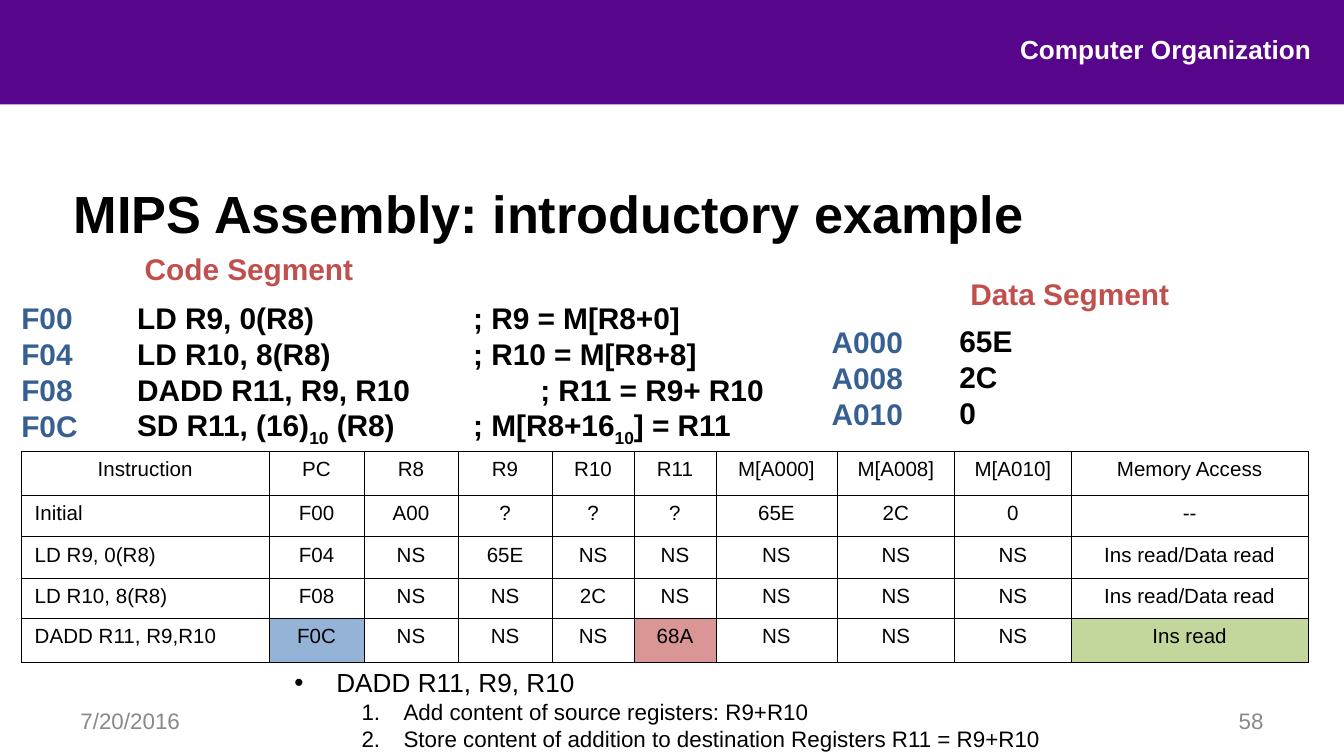
from dataclasses import dataclass

from lxml.etree import SubElement
from pptx import Presentation
from pptx.dml.color import RGBColor
from pptx.enum.shapes import MSO_SHAPE
from pptx.enum.text import MSO_ANCHOR, MSO_AUTO_SIZE, PP_ALIGN
from pptx.oxml import parse_xml
from pptx.oxml.ns import nsdecls, qn
from pptx.util import Pt


@dataclass(frozen=True)
class Theme:
    font: str = "Arial"
    ink: str = "000000"
    paper: str = "FFFFFF"
    band: str = "57068C"
    head: str = "C0504D"
    mark: str = "376092"
    faint: str = "898989"
    blue: str = "95B3D7"
    red: str = "D99694"
    green: str = "C3D69B"
    title: int = 28
    code: int = 16
    lead: int = 14
    note: int = 12
    cell: int = 11


THEME = Theme()
LEFT, MID, RIGHT = PP_ALIGN.LEFT, PP_ALIGN.CENTER, PP_ALIGN.RIGHT

CODE = [
    "LD R9, 0(R8)\t\t\t; R9 = M[R8+0]",
    "LD R10, 8(R8)\t\t\t; R10 = M[R8+8]",
    "DADD R11, R9, R10\t\t; R11 = R9+ R10",
    "SD R11, (16)|10| (R8) \t\t; M[R8+16|10|] = R11",
]
STEPS = [
    "Add content of source registers: R9+R10",
    "Store content of addition to destination Registers R11 = R9+R10",
]
ROWS = [
    ["Instruction", "PC", "R8", "R9", "R10", "R11",
     "M[A000]", "M[A008]", "M[A010]", "Memory Access"],
    ["Initial", "F00", "A00", "?", "?", "?", "65E", "2C", "0", "--"],
    ["LD R9, 0(R8)", "F04", "NS", "65E", "NS", "NS", "NS", "NS", "NS",
     "Ins read/Data read"],
    ["LD R10, 8(R8)", "F08", "NS", "NS", "2C", "NS", "NS", "NS", "NS",
     "Ins read/Data read"],
    ["DADD R11, R9,R10", "F0C", "NS", "NS", "NS", "68A", "NS", "NS", "NS",
     "Ins read"],
]
WIDTHS = [132.8, 50.8, 50.4, 50.4, 43.9, 43.9, 64.8, 63.2, 62.3, 127]
HEIGHTS = [23.7, 22, 22.4, 21.4, 23.7]
FILLS = {(4, 1): THEME.blue, (4, 5): THEME.red, (4, 9): THEME.green}


def add_runs(para, line, size, color, bold=False):
    for index, piece in enumerate(line.split("|")):
        run = para.add_run()
        run.text = piece
        font = run.font
        font.name, font.size, font.bold = THEME.font, Pt(size), bold
        font.color.rgb = RGBColor.from_string(color)
        if index % 2:
            run._r.get_or_add_rPr().set("baseline", "-25000")


def write(frame, lines, size, color, bold=False, align=LEFT):
    for index, line in enumerate(lines):
        para = frame.add_paragraph() if index else frame.paragraphs[0]
        para.alignment = align
        para.space_before = Pt(0)
        add_runs(para, line, size, color, bold)


def place(shape, box):
    shape.left, shape.top, shape.width, shape.height = map(Pt, box)


def set_frame(frame, inset=True, anchor=MSO_ANCHOR.TOP):
    frame.word_wrap = True
    frame.auto_size = MSO_AUTO_SIZE.NONE
    frame.vertical_anchor = anchor
    frame.margin_left = frame.margin_right = Pt(7.2 if inset else 0)
    frame.margin_top = frame.margin_bottom = Pt(3.6 if inset else 0)


def add_text(slide, box, lines, size, color, bold=True, align=LEFT,
             inset=True, anchor=MSO_ANCHOR.TOP):
    frame = slide.shapes.add_textbox(*map(Pt, box)).text_frame
    set_frame(frame, inset, anchor)
    write(frame, lines, size, color, bold, align)
    return frame


def add_band(slide):
    band = slide.shapes.add_shape(
        MSO_SHAPE.RECTANGLE, Pt(0), Pt(0), Pt(720), Pt(56))
    band.shadow.inherit = False
    band.fill.solid()
    band.fill.fore_color.rgb = RGBColor.from_string(THEME.band)
    band.line.fill.background()


def set_title(slide, text):
    title = slide.shapes.title
    place(title, (39.6, 97.2, 654.5, 46))
    set_frame(title.text_frame, inset=False)
    write(title.text_frame, [text], THEME.title, THEME.ink, bold=True)


def add_code(slide):
    frame = add_text(slide, (51, 160.5, 391, 88.5), CODE,
                     THEME.code, THEME.ink, inset=False)
    for para in frame.paragraphs:
        para.level = 1
        props = para._p.get_or_add_pPr()
        props.set("marL", str(Pt(22.5)))
        props.set("indent", "0")
        props.set("defTabSz", str(Pt(36)))


def set_bullet(para, edge, tag, **attrs):
    props = para._p.get_or_add_pPr()
    props.set("marL", str(Pt(edge)))
    props.set("indent", str(-Pt(22.5)))
    color = SubElement(props, qn("a:buClr"))
    SubElement(color, qn("a:srgbClr"), val=THEME.ink)
    SubElement(props, qn("a:buFont"), typeface=THEME.font)
    SubElement(props, qn(tag), **attrs)


def set_list(slide, lead, steps):
    body = slide.placeholders[1]
    place(body, (150.5, 353.5, 509, 52.5))
    frame = body.text_frame
    set_frame(frame)
    write(frame, [lead], THEME.lead, THEME.ink)
    set_bullet(frame.paragraphs[0], 22.5, "a:buChar", char="•")
    for step in steps:
        para = frame.add_paragraph()
        para.level = 1
        para.space_before = Pt(0)
        add_runs(para, step, THEME.note, THEME.ink)
        set_bullet(para, 58.5, "a:buAutoNum", type="arabicPeriod")


def set_cell(cell, text, fill, align):
    cell.margin_top = Pt(4.4)
    write(cell.text_frame, [text], THEME.cell, THEME.ink, align=align)
    cell.text_frame.paragraphs[0].line_spacing = 0.94
    if fill:
        cell.fill.solid()
        cell.fill.fore_color.rgb = RGBColor.from_string(fill)
    else:
        cell.fill.background()
    props = cell._tc.get_or_add_tcPr()
    for index, side in enumerate("LRTB"):
        props.insert(index, parse_xml(
            f'<a:ln{side} {nsdecls("a")} w="{Pt(0.45)}"><a:solidFill>'
            f'<a:srgbClr val="{THEME.ink}"/></a:solidFill></a:ln{side}>'))


def add_grid(slide):
    table = slide.shapes.add_table(
        len(ROWS), len(WIDTHS), Pt(11.4), Pt(241.8),
        Pt(sum(WIDTHS)), Pt(sum(HEIGHTS))).table
    table.first_row = table.horz_banding = False
    for column, width in zip(table.columns, WIDTHS):
        column.width = Pt(width)
    for row, height in zip(table.rows, HEIGHTS):
        row.height = Pt(height)
    for y, row in enumerate(ROWS):
        for x, text in enumerate(row):
            align = LEFT if y and not x else MID
            set_cell(table.cell(y, x), text, FILLS.get((y, x)), align)


def main():
    deck = Presentation()
    deck.slide_width, deck.slide_height = Pt(720), Pt(405)
    slide = deck.slides.add_slide(deck.slide_layouts[1])
    add_band(slide)
    set_title(slide, "MIPS Assembly: introductory example")
    add_text(slide, (486.5, 18, 216, 21), ["Computer Organization"],
             THEME.lead, THEME.paper, align=RIGHT, inset=False)
    for left, text, align in ((36, "7/20/2016", LEFT), (516, "58", RIGHT)):
        add_text(slide, (left, 375.4, 168, 21.6), [text], THEME.note,
                 THEME.faint, False, align, anchor=MSO_ANCHOR.MIDDLE)
    for box, text in (((1.4, 131, 264, 26.6), "Code Segment"),
                      ((436.3, 144.2, 273.6, 26.6), "Data Segment")):
        add_text(slide, box, [text], THEME.code, THEME.head, align=MID)
    for box, lines, color in (
            ((506.9, 169.4, 101.5, 65), ["65E", "2C", "0"], THEME.ink),
            ((4.3, 157.2, 65, 84), ["F00", "F04", "F08", "F0C"], THEME.mark),
            ((438.5, 170, 83, 65), ["A000", "A008", "A010"], THEME.mark)):
        add_text(slide, box, lines, THEME.code, color)
    add_code(slide)
    add_grid(slide)
    set_list(slide, "DADD R11, R9, R10", STEPS)
    deck.save("out.pptx")


if __name__ == "__main__":
    main()
